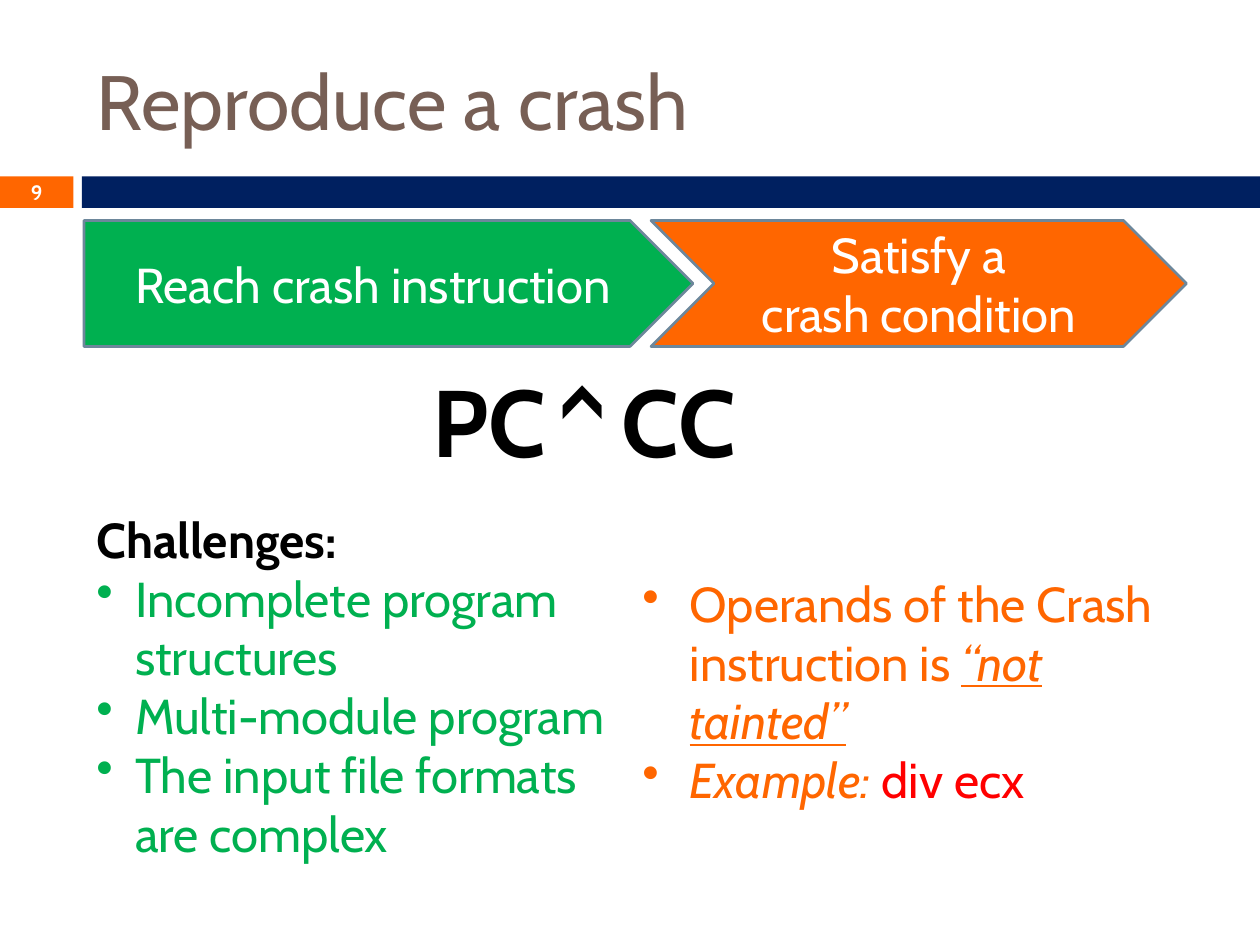
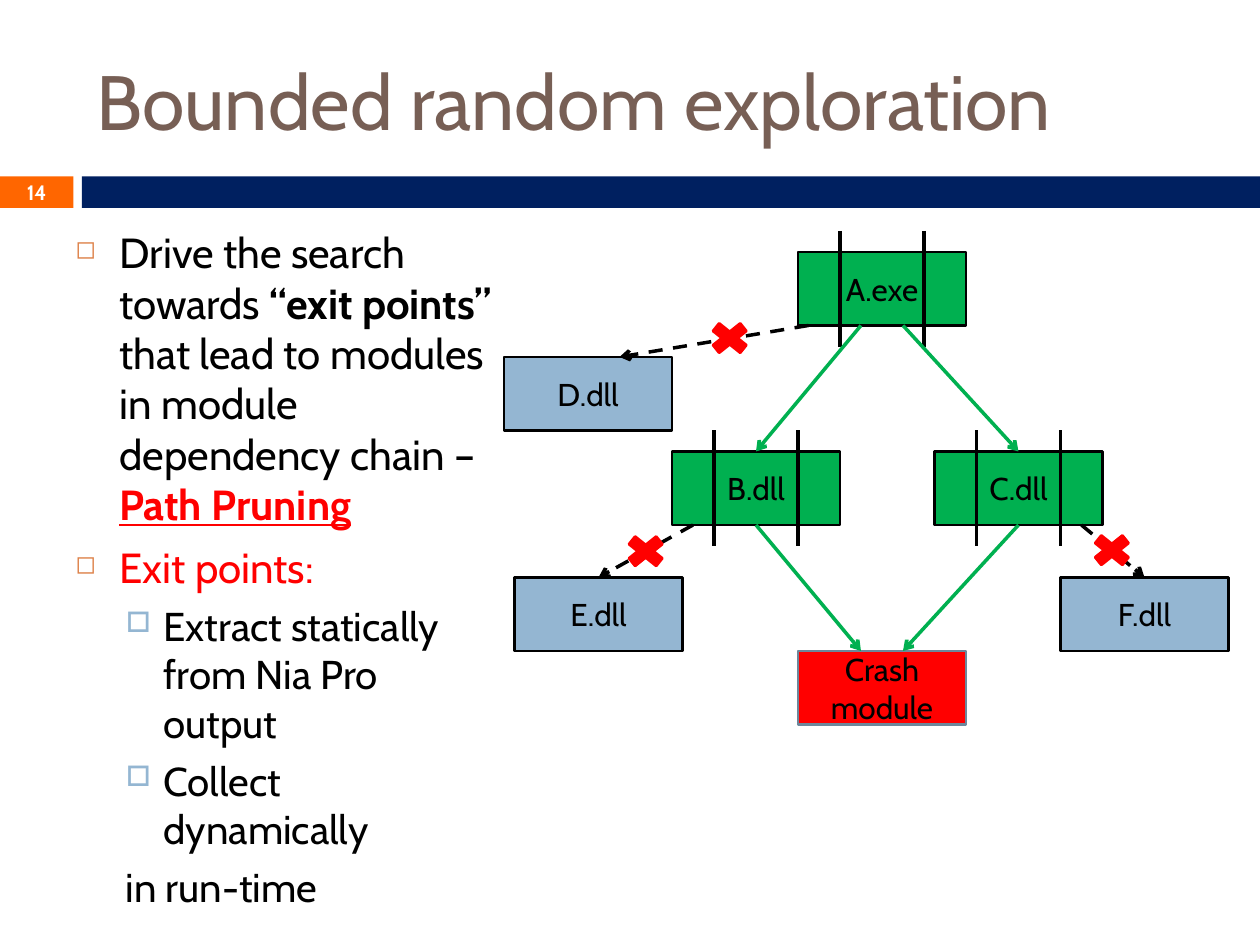
from lxml.etree import SubElement
from pptx import Presentation
from pptx.dml.color import RGBColor
from pptx.enum.dml import MSO_LINE
from pptx.enum.shapes import MSO_CONNECTOR, MSO_SHAPE
from pptx.enum.text import MSO_ANCHOR, PP_ALIGN
from pptx.oxml.ns import qn
from pptx.util import Pt

EMU_PER_PX = 7620  # 120 px to the inch
FONT = "Cabin"

BLACK = RGBColor(0x00, 0x00, 0x00)
WHITE = RGBColor(0xFF, 0xFF, 0xFF)
BROWN = RGBColor(0x77, 0x5F, 0x55)
NAVY = RGBColor(0x00, 0x20, 0x60)
ORANGE = RGBColor(0xFF, 0x66, 0x00)
GREEN = RGBColor(0x00, 0xB0, 0x50)
RED = RGBColor(0xFF, 0x00, 0x00)
BLUE = RGBColor(0x94, 0xB6, 0xD2)
RUST = RGBColor(0xDD, 0x80, 0x47)
SLATE = RGBColor(0x6D, 0x87, 0x9B)

TOP, BOTTOM = 0, 2  # connection sites of a rectangle


def emu(px):
    return px * EMU_PER_PX


def span(text, color=BLACK, bold=False, italic=False, underline=False):
    return text, color, bold, italic, underline


def para(*spans, size=28, indent=0, hanging=0, before=0, bullet=None, tabs=()):
    """bullet is (character, colour or None, percent of the text size)."""
    return dict(spans=spans, size=size, indent=indent, hanging=hanging,
                before=before, bullet=bullet, tabs=tabs)


class SlideWriter:
    def __init__(self):
        self.deck = Presentation()
        self.deck.slide_width, self.deck.slide_height = emu(1200), emu(900)
        self.slide = None

    def start(self, title, number):
        """Open a slide with its title, band and page number."""
        self.slide = self.deck.slides.add_slide(self.deck.slide_layouts[6])
        self.shape(MSO_SHAPE.RECTANGLE, (0, 168, 70, 30), ORANGE)
        self.shape(MSO_SHAPE.RECTANGLE, (78, 168, 1122, 30), NAVY)
        self.text((80, 30, 1070, 130), [para(span(title, BROWN), size=44)],
                  anchor=MSO_ANCHOR.MIDDLE)
        self.text((0, 167, 70, 32),
                  [para(span(number, WHITE, bold=True), size=11.9)],
                  anchor=MSO_ANCHOR.MIDDLE, align=PP_ALIGN.CENTER)

    def style(self, run, size, color, bold=False, italic=False, underline=False):
        font = run.font
        font.name, font.size, font.color.rgb = FONT, Pt(size), color
        font.bold, font.italic, font.underline = bold, italic, underline

    def shape(self, kind, place, fill, line=None, text="", size=18, color=BLACK):
        box = self.slide.shapes.add_shape(kind, *map(emu, place))
        box.shadow.inherit = False
        box.fill.solid()
        box.fill.fore_color.rgb = fill
        if line is None:
            box.line.fill.background()
        else:
            box.line.color.rgb, box.line.width = line, Pt(1.5)
        if text:
            frame = box.text_frame
            frame.text = text
            frame.vertical_anchor = MSO_ANCHOR.MIDDLE
            for paragraph in frame.paragraphs:
                paragraph.alignment = PP_ALIGN.CENTER
                for run in paragraph.runs:
                    self.style(run, size, color)
        return box

    def text(self, place, paras, anchor=MSO_ANCHOR.TOP, align=PP_ALIGN.LEFT):
        frame = self.slide.shapes.add_textbox(*map(emu, place)).text_frame
        frame.word_wrap, frame.vertical_anchor = True, anchor
        for index, item in enumerate(paras):
            paragraph = frame.paragraphs[0] if index == 0 else frame.add_paragraph()
            paragraph.alignment = align
            paragraph.space_before = Pt(item["before"])
            for words, *look in item["spans"]:
                run = paragraph.add_run()
                run.text = words
                self.style(run, item["size"], *look)
            self.layout(paragraph, item)

    def layout(self, paragraph, item):
        """Set the indents, bullet and tab stops of a paragraph."""
        properties = paragraph._p.get_or_add_pPr()
        properties.set("marL", str(emu(item["indent"])))
        properties.set("indent", str(-emu(item["hanging"])))
        if item["bullet"]:
            character, color, percent = item["bullet"]
            if color is not None:
                holder = SubElement(properties, qn("a:buClr"))
                SubElement(holder, qn("a:srgbClr"), val=str(color))
            SubElement(properties, qn("a:buSzPct"), val=str(percent * 1000))
            SubElement(properties, qn("a:buChar"), char=character)
        if item["tabs"]:
            stops = SubElement(properties, qn("a:tabLst"))
            for stop in item["tabs"]:
                SubElement(stops, qn("a:tab"), pos=str(emu(stop)), algn="l")

    def line(self, start, end, color=BLACK, dashed=False, arrow=False,
             source=None, target=None):
        connector = self.slide.shapes.add_connector(
            MSO_CONNECTOR.STRAIGHT, *map(emu, (*start, *end)))
        if source is not None:
            connector.begin_connect(source, BOTTOM)
        if target is not None:
            connector.end_connect(target, TOP)
        connector.line.color.rgb, connector.line.width = color, Pt(2)
        if dashed:
            connector.line.dash_style = MSO_LINE.DASH
        if arrow:
            SubElement(connector.line._get_or_add_ln(), qn("a:tailEnd"), type="arrow")
        SubElement(connector._element.spPr, qn("a:effectLst"))


def crash_slide(writer):
    writer.start("Reproduce a crash", "9")

    # Two steps
    writer.shape(MSO_SHAPE.PENTAGON, (80, 210, 580, 120), GREEN, SLATE,
                 "Reach crash instruction", 28, WHITE)
    writer.shape(MSO_SHAPE.CHEVRON, (620, 210, 510, 120), ORANGE, SLATE,
                 "Satisfy a\ncrash condition", 28, WHITE)
    writer.text((400, 340, 430, 121),
                [para(span("PC\t^\tCC", bold=True), size=54, tabs=(169, 273))])

    # Challenges of each step
    dot = ("•", None, 100)
    challenges = ("Incomplete program structures", "Multi-module program",
                  "The input file formats are complex")
    writer.text((80, 479, 520, 352), [
        para(span("Challenges:", bold=True)),
        *(para(span(words, GREEN), indent=37, hanging=37, bullet=dot)
          for words in challenges)])
    writer.text((600, 540, 520, 239), [
        para(span("Operands of the Crash instruction is ", ORANGE),
             span("“not tainted”", ORANGE, italic=True, underline=True),
             indent=45, hanging=45, bullet=dot),
        para(span("Example: ", ORANGE, italic=True), span("div ecx", RED),
             indent=45, hanging=45, bullet=dot)])


def exploration_slide(writer):
    writer.start("Bounded random exploration", "14")

    # Explanation
    main = dict(size=24, indent=42, hanging=42, before=7, bullet=("◻", RUST, 60))
    detail = dict(size=23, indent=84, hanging=36, before=5.5, bullet=("□", BLUE, 70))
    writer.text((60, 210, 420, 594), [
        para(span("Drive the search towards "),
             span("“exit points” ", bold=True),
             span("that lead to modules in module dependency chain – "),
             span("Path Pruning", RED, bold=True, underline=True), **main),
        para(span("Exit points:", RED), **main),
        para(span("Extract statically from Nia Pro output"), **detail),
        para(span("Collect dynamically"), **detail),
        para(span("in run-time"), size=23, indent=48, before=5.5)])

    # Modules
    modules = {}
    for name, left, top, fill, line in (
            ("A.exe", 760, 240, GREEN, BLACK), ("B.dll", 640, 430, GREEN, BLACK),
            ("C.dll", 890, 430, GREEN, BLACK), ("Crash\nmodule", 760, 620, RED, SLATE),
            ("D.dll", 480, 340, BLUE, BLACK), ("E.dll", 490, 550, BLUE, BLACK),
            ("F.dll", 1010, 550, BLUE, BLACK)):
        modules[name] = writer.shape(MSO_SHAPE.RECTANGLE, (left, top, 160, 70),
                                     fill, line, name)

    # Bounds on the modules of the chain
    for left, top in ((760, 240), (640, 430), (890, 430)):
        for offset in (40, 120):
            writer.line((left + offset, top - 20), (left + offset, top + 90))

    # Chain that leads to the crash
    b_module, c_module = modules["B.dll"], modules["C.dll"]
    for start, end, source, target in (
            ((820, 310), (720, 430), None, b_module),
            ((860, 310), (970, 430), None, c_module),
            ((720, 500), (820, 620), b_module, None),
            ((970, 500), (860, 620), c_module, None)):
        writer.line(start, end, GREEN, arrow=True, source=source, target=target)

    # Pruned paths
    for start, end, target in (
            ((770, 310), (590, 340), None),
            ((660, 500), (570, 550), modules["E.dll"]),
            ((1030, 500), (1090, 550), modules["F.dll"])):
        writer.line(start, end, dashed=True, arrow=True, target=target)
    for left, top in ((670, 302), (590, 505), (1034, 504)):
        writer.shape(MSO_SHAPE.MATH_MULTIPLY, (left, top, 50, 40), RED, RED)


def main():
    writer = SlideWriter()
    crash_slide(writer)
    exploration_slide(writer)
    writer.deck.save("out.pptx")


if __name__ == "__main__":
    main()
